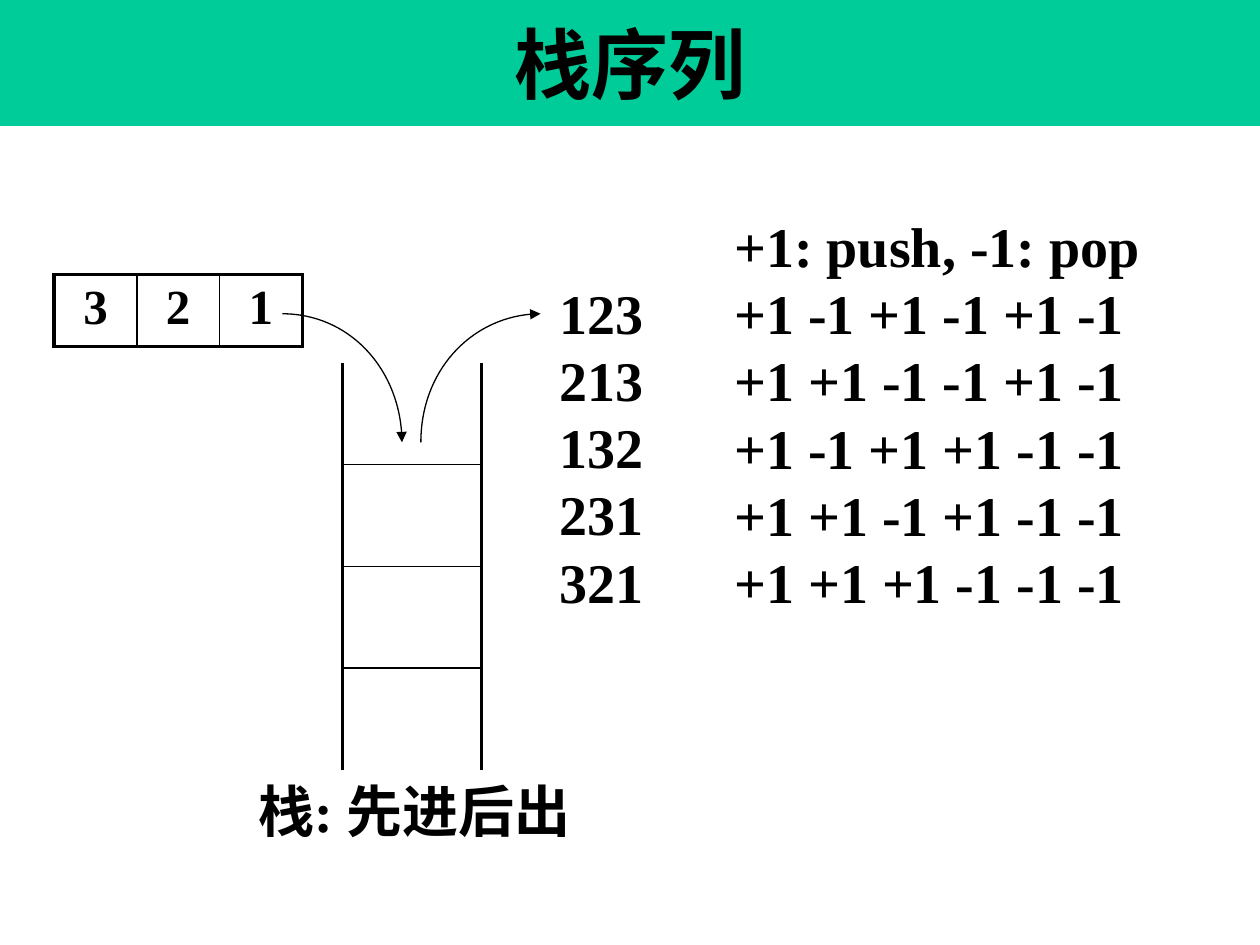
"""Build a slide that explains stack sequences with push and pop steps."""
from dataclasses import dataclass

from lxml import etree
from pptx import Presentation
from pptx.dml.color import RGBColor
from pptx.enum.text import MSO_ANCHOR, PP_ALIGN
from pptx.oxml.ns import qn
from pptx.util import Inches, Pt

BLACK = RGBColor(0x00, 0x00, 0x00)
GREEN = RGBColor(0x00, 0xCC, 0x99)
CENTER, LEFT = PP_ALIGN.CENTER, PP_ALIGN.LEFT
MIDDLE = MSO_ANCHOR.MIDDLE
FONT = "Times New Roman"
SLIDE_WIDTH, SLIDE_HEIGHT = Inches(10), Inches(7.5)
TITLE_ONLY = 5
THICK, THIN, HAIR = 2.25, 1, 0.75
ROUNDNESS = 0.55
LINE_PITCH = 1.2


@dataclass(frozen=True)
class Box:
    """A frame in percent of the slide's width and height."""
    left: float
    top: float
    width: float
    height: float

    def frame(self) -> tuple[int, int, int, int]:
        return (across(self.left), down(self.top),
                across(self.width), down(self.height))


@dataclass(frozen=True)
class TextBlock:
    """A left-aligned block with one paragraph per line."""
    box: Box
    lines: tuple[str, ...]


@dataclass(frozen=True)
class CellGrid:
    """A table given by its rows of text; open ends have no top or bottom border."""
    box: Box
    rows: tuple[tuple[str, ...], ...]
    open_ends: bool


@dataclass(frozen=True)
class CurvedArrow:
    """A quarter-ellipse arrow between two points in percent of the slide."""
    start: tuple[float, float]
    end: tuple[float, float]
    starts_level: bool


GRIDS = (
    CellGrid(Box(27.2, 38.4, 11, 43.07), (("",),) * 4, True),
    CellGrid(Box(4.3, 29.07, 19.7, 7.6), (("3", "2", "1"),), False),
)
ARROWS = (
    CurvedArrow((22.4, 33.2), (31.9, 46.8), True),
    CurvedArrow((33.4, 46.8), (42.9, 33.2), False),
)
BLOCKS = (
    TextBlock(Box(57.3, 21.73, 35.3, 44), (
        "+1: push, -1: pop",
        "+1 -1 +1 -1 +1 -1",
        "+1 +1 -1 -1 +1 -1",
        "+1 -1 +1 +1 -1 -1",
        "+1 +1 -1 +1 -1 -1",
        "+1 +1 +1 -1 -1 -1",
    )),
    TextBlock(Box(43.4, 28.8, 9.8, 36.93), ("123", "213", "132", "231", "321")),
    TextBlock(Box(19.5, 81.47, 26.9, 8.4), ("栈: 先进后出",)),
)


def across(percent: float) -> int:
    return round(SLIDE_WIDTH * percent / 100)


def down(percent: float) -> int:
    return round(SLIDE_HEIGHT * percent / 100)


def format_paragraph(paragraph, size: float, alignment) -> None:
    paragraph.alignment = alignment
    font = paragraph.font
    font.name, font.size, font.bold = FONT, Pt(size), True
    font.color.rgb = BLACK


def add_title(slide, text: str) -> None:
    title = slide.shapes.title
    title.left, title.top, title.width, title.height = Box(0, 0, 100, 13.33).frame()
    title.fill.solid()
    title.fill.fore_color.rgb = GREEN
    title.text_frame.text = text
    title.text_frame.vertical_anchor = MIDDLE
    format_paragraph(title.text_frame.paragraphs[0], 44, CENTER)


def add_text_block(slide, block: TextBlock) -> None:
    frame = slide.shapes.add_textbox(*block.box.frame()).text_frame
    frame.word_wrap = True
    frame.text = "\n".join(block.lines)
    for paragraph in frame.paragraphs:
        format_paragraph(paragraph, 32, LEFT)
        paragraph.line_spacing = Pt(32 * LINE_PITCH)


def set_borders(cell, widths: dict[str, float]) -> None:
    properties = cell._tc.get_or_add_tcPr()
    for position, (side, width) in enumerate(widths.items()):
        line = etree.Element(qn(f"a:ln{side}"), w=str(Pt(width)))
        if width:
            fill = etree.SubElement(line, qn("a:solidFill"))
            etree.SubElement(fill, qn("a:srgbClr"), val=str(BLACK))
        else:
            etree.SubElement(line, qn("a:noFill"))
        properties.insert(position, line)


def add_cell_grid(slide, grid: CellGrid) -> None:
    row_count, column_count = len(grid.rows), len(grid.rows[0])
    table = slide.shapes.add_table(row_count, column_count, *grid.box.frame()).table
    table.first_row = table.horz_banding = False
    end_width = 0 if grid.open_ends else THICK
    for row, texts in enumerate(grid.rows):
        for column, text in enumerate(texts):
            cell = table.cell(row, column)
            cell.fill.background()
            set_borders(cell, {
                "L": THIN if column else THICK,
                "R": THIN if column < column_count - 1 else THICK,
                "T": THIN if row else end_width,
                "B": THIN if row < row_count - 1 else end_width,
            })
            if text:
                cell.text = text
                format_paragraph(cell.text_frame.paragraphs[0], 28, CENTER)


def add_curved_arrow(slide, arrow: CurvedArrow) -> None:
    (x1, y1), (x2, y2) = arrow.start, arrow.end
    shift_x, shift_y = (x2 - x1) * ROUNDNESS, (y2 - y1) * ROUNDNESS
    if arrow.starts_level:
        controls = [(x1 + shift_x, y1), (x2, y2 - shift_y)]
    else:
        controls = [(x1, y1 + shift_y), (x2 - shift_x, y2)]
    builder = slide.shapes.build_freeform(across(x1), down(y1))
    builder.add_line_segments(
        [(across(x), down(y)) for x, y in (*controls, (x2, y2))], close=False)
    shape = builder.convert_to_shape()
    shape.shadow.inherit = False
    shape.fill.background()
    shape.line.color.rgb = BLACK
    shape.line.width = Pt(HAIR)
    etree.SubElement(shape.line._get_or_add_ln(), qn("a:tailEnd"), type="triangle")
    segments = list(shape._element.iter(qn("a:lnTo")))
    curve = etree.SubElement(segments[0].getparent(), qn("a:cubicBezTo"))
    for segment in segments:
        curve.append(segment[0])
        segment.getparent().remove(segment)


def main() -> None:
    presentation = Presentation()
    presentation.slide_width, presentation.slide_height = SLIDE_WIDTH, SLIDE_HEIGHT
    slide = presentation.slides.add_slide(presentation.slide_layouts[TITLE_ONLY])
    add_title(slide, "栈序列")
    for grid in GRIDS:
        add_cell_grid(slide, grid)
    for arrow in ARROWS:
        add_curved_arrow(slide, arrow)
    for block in BLOCKS:
        add_text_block(slide, block)
    presentation.save("out.pptx")


if __name__ == "__main__":
    main()
